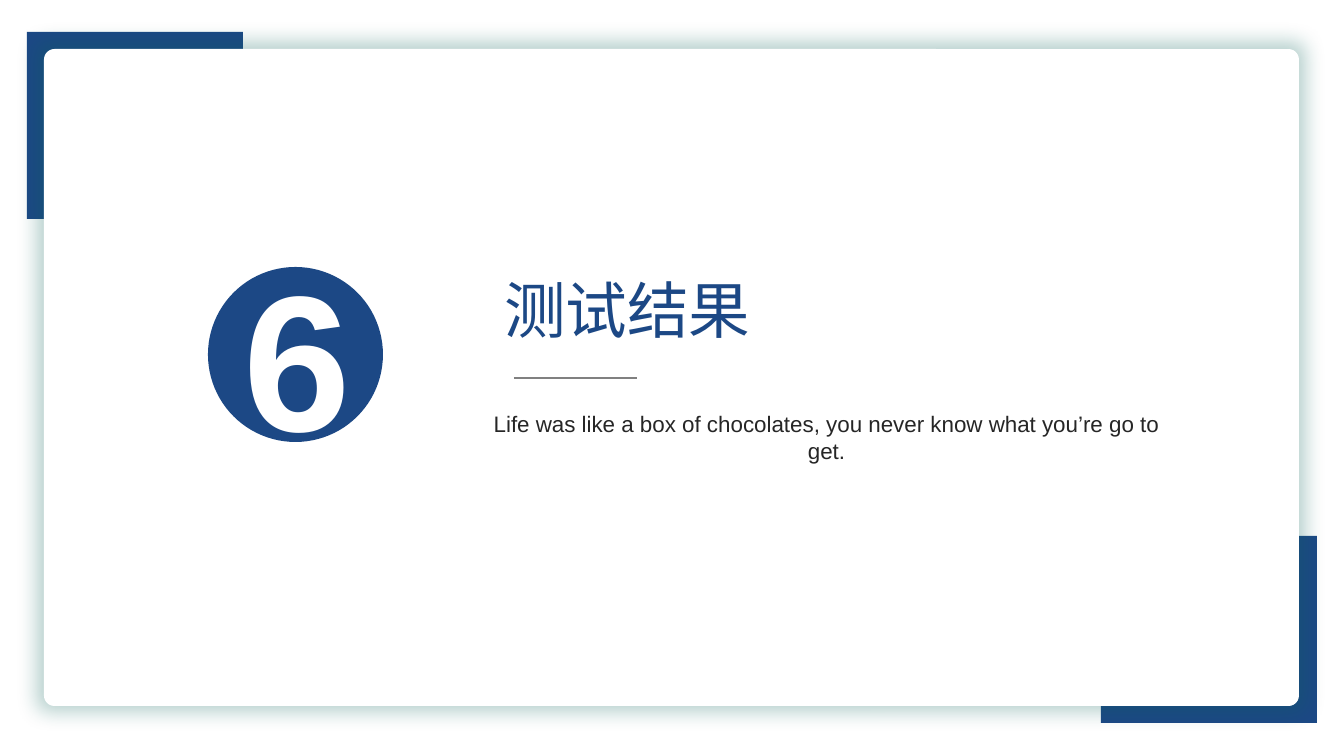
from dataclasses import dataclass

from lxml.etree import SubElement
from pptx import Presentation
from pptx.dml.color import RGBColor
from pptx.enum.shapes import MSO_CONNECTOR, MSO_SHAPE
from pptx.enum.text import MSO_ANCHOR, MSO_AUTO_SIZE, PP_ALIGN
from pptx.oxml import parse_xml
from pptx.oxml.ns import nsdecls, qn
from pptx.util import Pt

SCALE = 914400 / 100.8


@dataclass(frozen=True)
class Theme:
    """Colours, font and type sizes of the slide."""
    blue: str = "1C4885"
    white: str = "FFFFFF"
    ink: str = "262626"
    rule: str = "808080"
    glow: str = "0A6258"
    font: str = "Arial"
    number: int = 138
    title: int = 44
    body: int = 16


@dataclass(frozen=True)
class Box:
    """A rectangle in whole pixels."""
    left: int
    top: int
    width: int
    height: int

    def emu(self) -> list[int]:
        """Return the four lengths in EMU."""
        return [px(n) for n in (self.left, self.top, self.width, self.height)]


@dataclass(frozen=True)
class Block:
    """A filled preset shape."""
    kind: MSO_SHAPE
    box: Box
    fill: str


THEME = Theme()
CORNERS = [Block(MSO_SHAPE.RECTANGLE, Box(left, top, 216, 187), THEME.blue)
           for left, top in ((27, 32), (1101, 536))]
PANEL = Block(MSO_SHAPE.ROUNDED_RECTANGLE, Box(44, 49, 1255, 657), THEME.white)
BADGE = Block(MSO_SHAPE.OVAL, Box(208, 267, 175, 175), THEME.blue)


def px(count: int) -> int:
    """Turn pixels into EMU."""
    return round(count * SCALE)


def draw(slide, block: Block):
    """Add a preset shape with a plain fill and no line."""
    shape = slide.shapes.add_shape(block.kind, *block.box.emu())
    shape.shadow.inherit = False
    shape.fill.solid()
    shape.fill.fore_color.rgb = RGBColor.from_string(block.fill)
    shape.line.fill.background()
    return shape


def glow(shape, color: str) -> None:
    """Spread a soft, centred shadow around a shape."""
    effects = shape.element.spPr.find(qn("a:effectLst"))
    effects.append(parse_xml(
        f'<a:outerShdw {nsdecls("a")} blurRad="190500" sx="101000" '
        f'sy="102000" algn="ctr" rotWithShape="0"><a:srgbClr val="{color}">'
        '<a:alpha val="30000"/></a:srgbClr></a:outerShdw>'))


def write(shape, text: str, *, size: int, color: str, bold: bool = False,
          align: PP_ALIGN = PP_ALIGN.CENTER,
          anchor: MSO_ANCHOR = MSO_ANCHOR.TOP) -> None:
    """Put one formatted paragraph into a shape."""
    frame = shape.text_frame
    frame.word_wrap = True
    frame.auto_size = MSO_AUTO_SIZE.NONE
    frame.vertical_anchor = anchor
    line = frame.paragraphs[0]
    line.alignment = align
    line.space_before = Pt(0)
    run = line.add_run()
    run.text = text
    run.font.name = THEME.font
    run.font.size = Pt(size)
    run.font.bold = bold
    run.font.color.rgb = RGBColor.from_string(color)


def place(slide, holder, box: Box) -> None:
    """Move a placeholder to its box and to the front."""
    holder.left, holder.top, holder.width, holder.height = box.emu()
    slide.shapes.element.append(holder.element)


def rule(slide, left: int, right: int, top: int) -> None:
    """Draw the thin level line below the title."""
    line = slide.shapes.add_connector(
        MSO_CONNECTOR.STRAIGHT, px(left), px(top), px(right), px(top))
    line.line.color.rgb = RGBColor.from_string(THEME.rule)
    line.line.width = Pt(1.5)
    SubElement(line.element.spPr, qn("a:effectLst"))


def main() -> None:
    """Build the section slide and save it."""
    deck = Presentation()
    deck.slide_width, deck.slide_height = px(1344), px(756)
    slide = deck.slides.add_slide(deck.slide_layouts[0])

    for corner in CORNERS:
        draw(slide, corner)
    panel = draw(slide, PANEL)
    panel.adjustments[0] = 0.016
    glow(panel, THEME.glow)

    badge = draw(slide, BADGE)
    write(badge, "6", size=THEME.number, color=THEME.white, bold=True,
          anchor=MSO_ANCHOR.MIDDLE)

    title, body = slide.placeholders
    place(slide, title, Box(494, 267, 635, 85))
    write(title, "测试结果", size=THEME.title, color=THEME.blue,
          align=PP_ALIGN.JUSTIFY)
    rule(slide, 514, 637, 378)
    place(slide, body, Box(479, 405, 695, 65))
    write(body, "Life was like a box of chocolates, you never know what "
          "you’re go to get.", size=THEME.body, color=THEME.ink)

    deck.save("out.pptx")


main()
